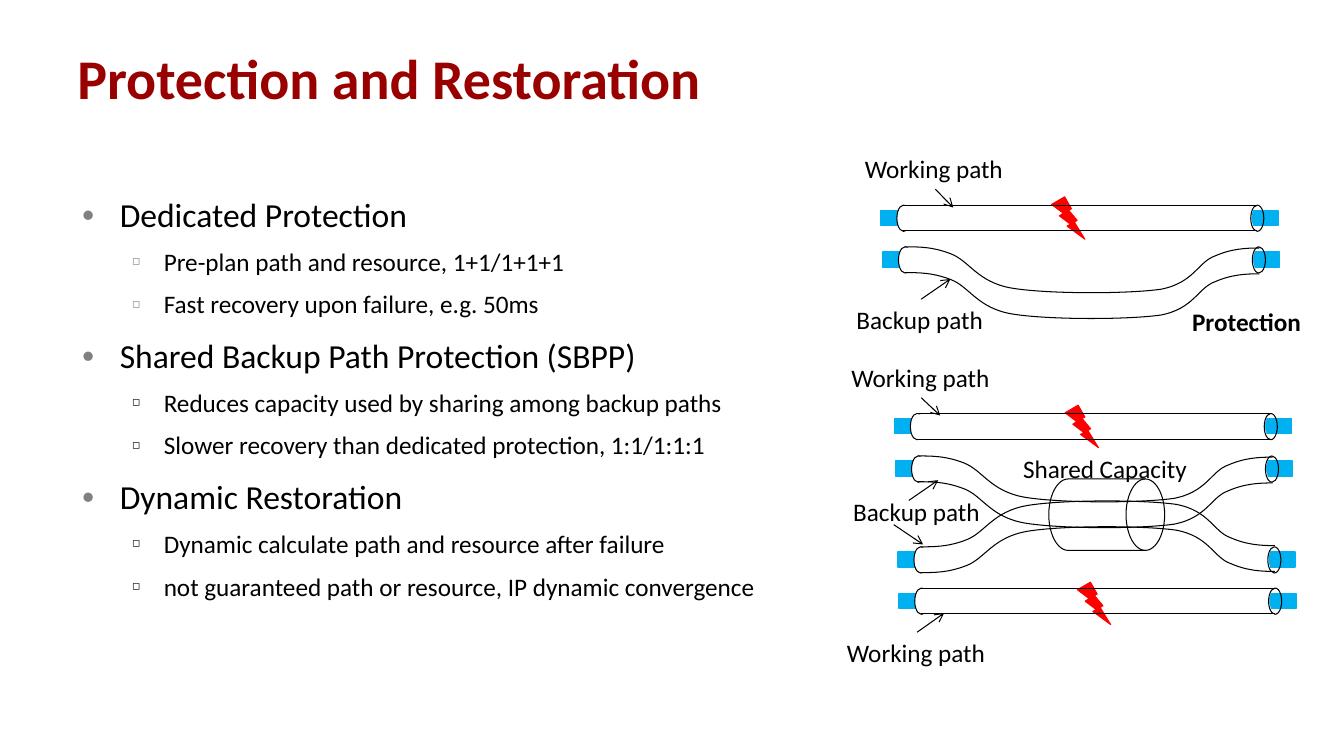
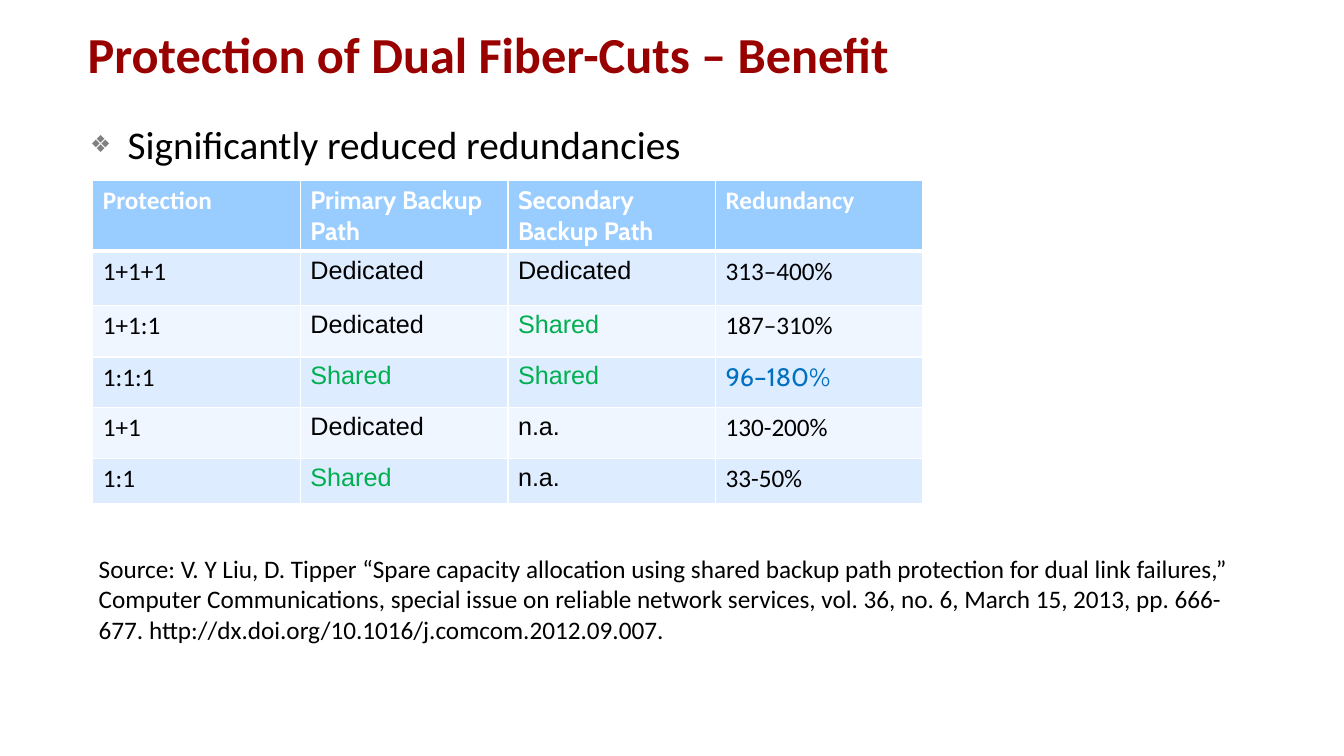
from pptx import Presentation
from pptx.dml.color import RGBColor
from pptx.enum.shapes import MSO_CONNECTOR, MSO_SHAPE
from pptx.enum.text import MSO_ANCHOR, MSO_AUTO_SIZE
from pptx.oxml.ns import qn
from pptx.util import Cm, Pt
from lxml.etree import SubElement

BLACK = RGBColor(0x00, 0x00, 0x00)
WHITE = RGBColor(0xFF, 0xFF, 0xFF)
GREY = RGBColor(0x80, 0x80, 0x80)
DARK_RED = RGBColor(0x99, 0x00, 0x00)
RED = RGBColor(0xFF, 0x00, 0x00)
NODE_BLUE = RGBColor(0x00, 0xB0, 0xF0)
HEADER_BLUE = RGBColor(0x99, 0xCC, 0xFF)
BAND_DARK = RGBColor(0xDE, 0xEC, 0xFF)
BAND_LIGHT = RGBColor(0xEF, 0xF6, 0xFF)
GREEN = RGBColor(0x00, 0xB0, 0x50)
BLUE = RGBColor(0x00, 0x70, 0xC0)
FONT = "Calibri"

PIPE_CURVE = [
    (0, 0), (0.36, 0), (0.71, 0), (1.17, 0.18),
    (1.63, 0.36), (1.83, 0.89), (2.69, 1.04),
    (3.58, 1.19), (5.59, 1.19), (6.45, 1.07),
    (7.29, 0.91), (7.39, 0.38), (7.82, 0.23),
    (8.23, 0.05), (8.59, 0.03), (8.94, 0.03),
]
MASK_OUTLINE = [(0.22, 0.03), (0.17, 0.2), (0.17, 0.33), (0.22, 0.51),
                (0.22, 0.54), (0, 0.56), (0, 0)]
DEDICATED, SHARED, NONE = "Dedicated", "Shared", "n.a."
REDUNDANCY_ROWS = [
    ("Protection", "Primary Backup Path", "Secondary Backup Path", "Redundancy"),
    ("1+1+1", DEDICATED, DEDICATED, "313–400%"),
    ("1+1:1", DEDICATED, SHARED, "187–310%"),
    ("1:1:1", SHARED, SHARED, "96–180%"),
    ("1+1", DEDICATED, NONE, "130-200%"),
    ("1:1", SHARED, NONE, "33-50%"),
]
HIGHLIGHT = "96–180%"
ROW_HEIGHTS = [1.63, 1.38, 1.29, 1.28, 1.28, 1.14]
TOPICS = [
    ("Dedicated Protection", GREY,
     ["Pre-plan path and resource, 1+1/1+1+1",
      "Fast recovery upon failure, e.g. 50ms"]),
    ("Shared Backup Path Protection (SBPP)", None,
     ["Reduces capacity used by sharing among backup paths",
      "Slower recovery than dedicated protection, 1:1/1:1:1"]),
    ("Dynamic Restoration", None,
     ["Dynamic calculate path and resource after failure",
      "not guaranteed path or resource, IP dynamic convergence"]),
]
SOURCE = ("Source: V. Y Liu, D. Tipper “Spare capacity allocation using shared backup "
          "path protection for dual link failures,” Computer Communications, special "
          "issue on reliable network services, vol. 36, no. 6, March 15, 2013, "
          "pp. 666-677. http://dx.doi.org/10.1016/j.comcom.2012.09.007.")


def add_run(paragraph, text, size, color=BLACK, bold=False, font=FONT):
    run = paragraph.add_run()
    run.text = text
    run.font.name = font
    run.font.size = Pt(size)
    run.font.bold = bold
    run.font.color.rgb = color


def add_box(slide, left, top, width, height, wrap=True):
    shape = slide.shapes.add_textbox(Cm(left), Cm(top), Cm(width), Cm(height))
    shape.text_frame.word_wrap = wrap
    return shape.text_frame


def add_title(slide, text, size, left, top, width, height):
    frame = add_box(slide, left, top, width, height)
    frame.vertical_anchor = MSO_ANCHOR.MIDDLE
    add_run(frame.paragraphs[0], text, size, DARK_RED, bold=True)


def add_label(slide, text, left, top, width, bold=False):
    frame = add_box(slide, left, top, width, 1.02, wrap=False)
    frame.auto_size = MSO_AUTO_SIZE.SHAPE_TO_FIT_TEXT
    add_run(frame.paragraphs[0], text, 18, bold=bold)


def set_bullet(paragraph, character, color, percent, margin, hanging):
    paragraph.line_spacing = 1.4
    properties = paragraph._p.get_or_add_pPr()
    properties.set("marL", str(Cm(margin)))
    properties.set("indent", str(-Cm(hanging)))
    if color is not None:
        bullet_color = SubElement(properties, qn("a:buClr"))
        SubElement(bullet_color, qn("a:srgbClr"), val=str(color))
    SubElement(properties, qn("a:buSzPct"), val=str(percent * 1000))
    SubElement(properties, qn("a:buFont"), typeface=FONT)
    SubElement(properties, qn("a:buChar"), char=character)


def style_shape(shape, fill, line, weight=0.75):
    shape.shadow.inherit = False
    if fill is None:
        shape.fill.background()
    else:
        shape.fill.solid()
        shape.fill.fore_color.rgb = fill
    if line is None:
        shape.line.fill.background()
    else:
        shape.line.color.rgb = line
        shape.line.width = Pt(weight)


def add_preset(parent, preset, left, top, width, height, fill, line, weight=0.75):
    shape = parent.shapes.add_shape(preset, Cm(left), Cm(top), Cm(width), Cm(height))
    style_shape(shape, fill, line, weight)


def add_outline(parent, points, fill=None, line=None, close=False):
    points = [(Cm(x), Cm(y)) for x, y in points]
    builder = parent.shapes.build_freeform(*points[0], scale=1.0)
    builder.add_line_segments(points[1:], close=close)
    shape = builder.convert_to_shape()
    style_shape(shape, fill, line)
    return shape


def add_curve(parent, controls):
    shape = add_outline(parent, controls, line=BLACK)
    outline = next(shape._element.iter(qn("a:path")))
    segments = outline.findall(qn("a:lnTo"))
    for first in range(0, len(segments), 3):
        curve = SubElement(outline, qn("a:cubicBezTo"))
        for segment in segments[first:first + 3]:
            curve.append(segment[0])
            outline.remove(segment)


def add_line(parent, left, top, start, end, arrow=False):
    connector = parent.shapes.add_connector(
        MSO_CONNECTOR.STRAIGHT, Cm(left + start[0]), Cm(top + start[1]),
        Cm(left + end[0]), Cm(top + end[1]))
    connector.line.color.rgb = BLACK
    connector.line.width = Pt(0.75)
    if arrow:
        SubElement(connector.line._get_or_add_ln(), qn("a:tailEnd"), type="arrow")
    SubElement(connector._element.spPr, qn("a:effectLst"))


def add_pipe(slide, left, top, bend=0):
    pipe = slide.shapes.add_group_shape()
    for node_left, node_width in ((0, 0.5), (9.22, 0.79)):
        add_preset(pipe, MSO_SHAPE.RECTANGLE, left + node_left, top + 0.13,
                   node_width, 0.38, NODE_BLUE, NODE_BLUE, 1)
    add_outline(pipe, [(left + 9.17 + x, top + 0.05 + y) for x, y in MASK_OUTLINE],
                fill=WHITE, close=True)
    add_preset(pipe, MSO_SHAPE.OVAL, left + 0.4, top, 0.33, 0.66, WHITE, BLACK)
    add_preset(pipe, MSO_SHAPE.RECTANGLE, left + 0.56, top + 0.02, 0.26, 0.62, WHITE, None)
    for edge in (0, 0.65):
        if bend:
            add_curve(pipe, [(left + 0.56 + x, top + edge + bend * y)
                             for x, y in PIPE_CURVE])
        else:
            add_line(pipe, left, top, (0.56, edge), (9.47, edge))
    add_preset(pipe, MSO_SHAPE.OVAL, left + 9.32, top, 0.33, 0.66, None, BLACK)


def add_cut_pipe(slide, left, top, bolt_left=4.3, bolt_rise=0.21):
    add_preset(slide, MSO_SHAPE.LIGHTNING_BOLT, left + bolt_left, top - bolt_rise,
               0.84, 1.07, RED, RED)
    add_pipe(slide, left, top)


def add_dedicated_scheme(slide, left, top):
    add_pipe(slide, left + 0.91, top + 2.49, bend=1)
    add_cut_pipe(slide, left + 0.87, top + 1.44)
    add_label(slide, "Protection", left + 8.46, top + 3.86, 3.28, bold=True)
    add_label(slide, "Working path", left + 0.21, top, 4.04)
    add_label(slide, "Backup path", left, top + 3.81, 3.73)
    for start, end in (((2.24, 1.04), (2.69, 1.5)), ((1.88, 3.81), (2.62, 3.3))):
        add_line(slide, left, top, start, end, arrow=True)


def add_shared_scheme(slide, left, top):
    add_preset(slide, MSO_SHAPE.FLOWCHART_DIRECT_ACCESS_STORAGE,
               left + 5.33, top + 3.07, 2.92, 1.8, WHITE, BLACK)
    add_pipe(slide, left + 1.47, top + 2.49, bend=1)
    add_cut_pipe(slide, left + 1.44, top + 1.42)
    add_label(slide, "Shared Capacity", left + 4.43, top + 2.29, 4.7)
    add_pipe(slide, left + 1.53, top + 4.78, bend=-1)
    add_cut_pipe(slide, left + 1.55, top + 5.82, bolt_left=4.5, bolt_rise=0.15)
    add_label(slide, "Working path", left + 0.1, top, 4.04)
    add_label(slide, "Backup path", left + 0.15, top + 3.38, 3.73)
    add_label(slide, "Working path", left - 0.01, top + 6.94, 4.04)
    for start, end in (((2.11, 1.02), (2.59, 1.47)), ((1.8, 3.61), (2.54, 3.1)),
                       ((2.01, 6.93), (2.69, 6.45)), ((1.42, 4.22), (2.16, 4.72))):
        add_line(slide, left, top, start, end, arrow=True)


def add_topics(slide, left, top, width, height):
    frame = add_box(slide, left, top, width, height)
    paragraph = frame.paragraphs[0]
    for number, (topic, detail_color, details) in enumerate(TOPICS):
        if number:
            paragraph = frame.add_paragraph()
        set_bullet(paragraph, "●", GREY, 60, 0.95, 0.95)
        add_run(paragraph, topic, 24)
        for detail in details:
            paragraph = frame.add_paragraph()
            paragraph.level = 1
            set_bullet(paragraph, "◻", detail_color, 50, 2.06, 0.79)
            add_run(paragraph, detail, 18)


def set_borders(cell, bottom_weight):
    properties = cell._tc.get_or_add_tcPr()
    for side, weight in (("L", 1), ("R", 1), ("T", 1), ("B", bottom_weight)):
        line = SubElement(properties, qn("a:ln" + side), w=str(Pt(weight)))
        fill = SubElement(line, qn("a:solidFill"))
        SubElement(fill, qn("a:srgbClr"), val=str(WHITE))


def cell_style(row, column, text):
    middle = column in (1, 2)
    if row == 0:
        return WHITE, "Cabin" if middle else FONT
    if text == HIGHLIGHT:
        return BLUE, "Cabin"
    return GREEN if text == SHARED else BLACK, "Arial" if middle else FONT


def add_redundancy_table(slide, left, top, width):
    table = slide.shapes.add_table(
        len(REDUNDANCY_ROWS), 4, Cm(left), Cm(top), Cm(width), Cm(sum(ROW_HEIGHTS))).table
    table.horz_banding = False
    for column in table.columns:
        column.width = Cm(width / 4)
    for row, texts in enumerate(REDUNDANCY_ROWS):
        table.rows[row].height = Cm(ROW_HEIGHTS[row])
        band = HEADER_BLUE if row == 0 else BAND_DARK if row % 2 else BAND_LIGHT
        for column, text in enumerate(texts):
            cell = table.cell(row, column)
            set_borders(cell, 3 if row == 0 else 1)
            cell.fill.solid()
            cell.fill.fore_color.rgb = band
            color, font = cell_style(row, column, text)
            add_run(cell.text_frame.paragraphs[0], text, 18, color, row == 0, font)


def build_restoration_slide(slide):
    add_title(slide, "Protection and Restoration", 40, 1.7, 0.91, 28.45, 2.08)
    add_dedicated_scheme(slide, 21.34, 3.73)
    add_shared_scheme(slide, 21.11, 9)
    add_topics(slide, 1.82, 4.36, 18.42, 11.71)


def build_benefit_slide(slide):
    add_title(slide, "Protection of Dual Fiber-Cuts – Benefit", 36, 1.96, 0.5, 30.48, 1.68)
    frame = add_box(slide, 2.02, 2.57, 21.54, 1.63)
    frame.margin_top = Cm(0)
    set_bullet(frame.paragraphs[0], "❖", GREY, 60, 0.95, 0.95)
    add_run(frame.paragraphs[0], "Significantly reduced redundancies", 28)
    add_redundancy_table(slide, 2.34, 4.55, 20.93)
    frame = add_box(slide, 2.24, 13.82, 29.59, 2.57)
    frame.auto_size = MSO_AUTO_SIZE.SHAPE_TO_FIT_TEXT
    add_run(frame.paragraphs[0], SOURCE, 18)


def main():
    presentation = Presentation()
    presentation.slide_width = Cm(33.88)
    presentation.slide_height = Cm(19.05)
    for build in (build_restoration_slide, build_benefit_slide):
        build(presentation.slides.add_slide(presentation.slide_layouts[6]))
    presentation.save("out.pptx")


if __name__ == "__main__":
    main()
